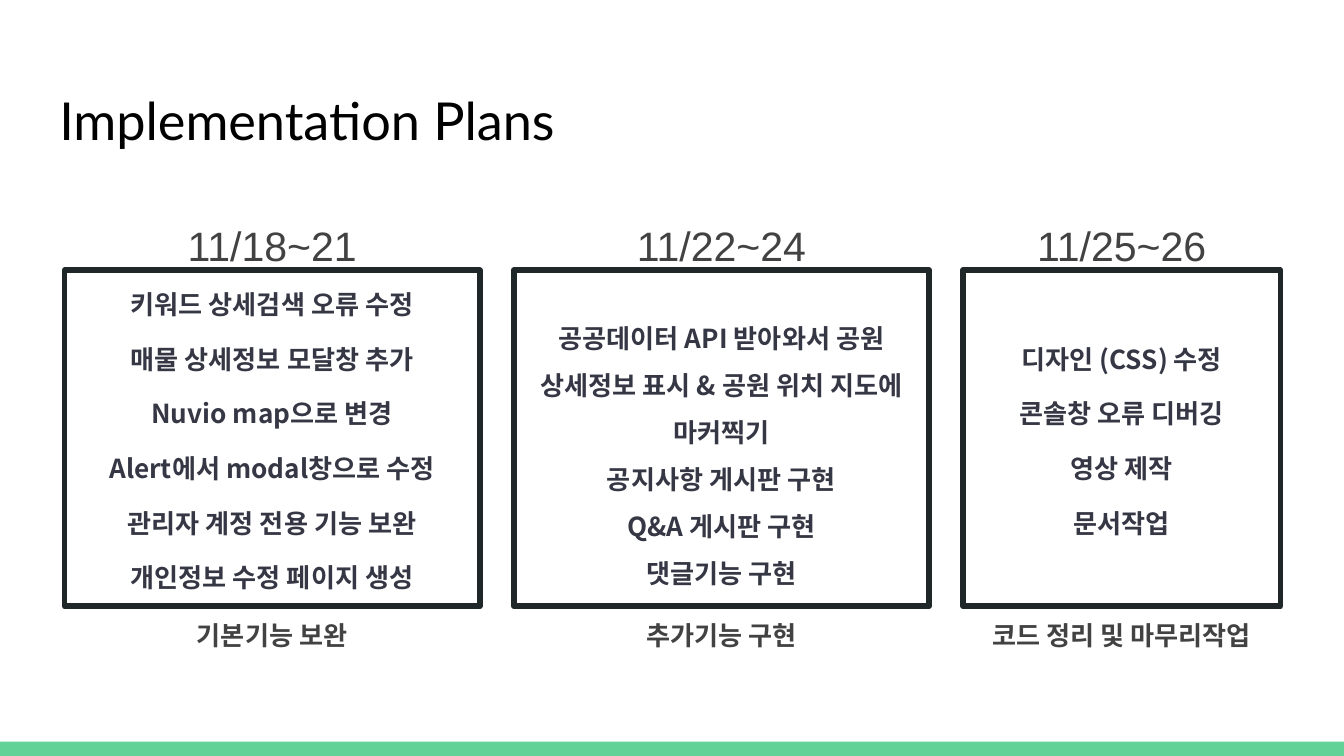
import pptx
import pptx.util
import pptx.dml.color
import pptx.enum.shapes
import pptx.enum.text
import pptx.oxml.ns
from lxml import etree
from pptx.util import Cm, Pt

RGBColor = pptx.dml.color.RGBColor
BLACK = RGBColor(0x00, 0x00, 0x00)
GREEN = RGBColor(0x63, 0xD2, 0x97)
BORDER = RGBColor(0x20, 0x27, 0x29)
TASK = RGBColor(0x35, 0x37, 0x44)
LABEL = RGBColor(0x42, 0x42, 0x42)
KOREAN_FONT = "Noto Sans CJK KR"
CENTER = pptx.enum.text.PP_ALIGN.CENTER
LEFT = pptx.enum.text.PP_ALIGN.LEFT
TOP = pptx.enum.text.MSO_ANCHOR.TOP
MIDDLE = pptx.enum.text.MSO_ANCHOR.MIDDLE
RECTANGLE = pptx.enum.shapes.MSO_SHAPE.RECTANGLE
qn = pptx.oxml.ns.qn

SLIDE_WIDTH = 25.4
LEFT_EDGE = 1.22
GAP = 0.64
BOX_TOP = 5.11
BOX_HEIGHT = 6.35
LABEL_HEIGHT = 1.19

PHASES = [
    ("11/18~21", "기본기능 보완", 7.85, 1.15, 10, 0.25, [
        "키워드 상세검색 오류 수정",
        "매물 상세정보 모달창 추가",
        "Nuvio map으로 변경",
        "Alert에서 modal창으로 수정",
        "관리자 계정 전용 기능 보완",
        "개인정보 수정 페이지 생성",
    ]),
    ("11/22~24", "추가기능 구현", 7.85, 1.5, 0, 0.6, [
        "공공데이터 API 받아와서 공원 상세정보 표시 & 공원 위치 지도에 마커찍기",
        "공지사항 게시판 구현",
        "Q&A 게시판 구현",
        "댓글기능 구현",
    ]),
    ("11/25~26", "코드 정리 및 마무리작업", 6, 1.15, 10, 0.25, [
        "디자인 (CSS) 수정",
        "콘솔창 오류 디버깅",
        "영상 제작",
        "문서작업",
    ]),
]


class SlideBuilder:
    def __init__(self, presentation):
        self.slide = presentation.slides.add_slide(presentation.slide_layouts[5])

    def fill_text(self, shape, lines, size, color, font=KOREAN_FONT, bold=False,
                  align=CENTER, anchor=TOP, spacing=1.0, before=0, inset_top=0.25):
        frame = shape.text_frame
        frame.word_wrap = True
        frame.auto_size = pptx.enum.text.MSO_AUTO_SIZE.NONE
        frame.vertical_anchor = anchor
        frame.margin_left = frame.margin_right = frame.margin_bottom = Cm(0.25)
        frame.margin_top = Cm(inset_top)
        for index, line in enumerate(lines):
            paragraph = frame.add_paragraph() if index else frame.paragraphs[0]
            paragraph.alignment = align
            paragraph.line_spacing = spacing
            paragraph.space_before = Pt(before if index else 0)
            run = paragraph.add_run()
            run.text = line
            run.font.size = Pt(size)
            run.font.bold = bold
            run.font.color.rgb = color
            run.font.name = font
            east_asian = etree.SubElement(run.font._element, qn("a:ea"))
            east_asian.set("typeface", font)

    def title(self, text):
        shape = self.slide.shapes.title
        shape.left, shape.top = Cm(0.87), Cm(1.24)
        shape.width, shape.height = Cm(23.67), Cm(1.6)
        self.fill_text(shape, [text], 28, BLACK, "Lato", align=LEFT, spacing=1.15)

    def rectangle(self, left, top, width, height):
        shape = self.slide.shapes.add_shape(
            RECTANGLE, Cm(left), Cm(top), Cm(width), Cm(height))
        shape.shadow.inherit = False
        return shape

    def bar(self, top, height):
        shape = self.rectangle(0, top, SLIDE_WIDTH, height)
        shape.fill.solid()
        shape.fill.fore_color.rgb = GREEN
        shape.line.fill.background()

    def task_box(self, left, width, tasks, spacing, before, inset_top):
        shape = self.rectangle(left, BOX_TOP, width, BOX_HEIGHT)
        shape.fill.background()
        shape.line.color.rgb = BORDER
        shape.line.width = Pt(3)
        etree.SubElement(shape.line._ln, qn("a:round"))
        self.fill_text(shape, tasks, 14, TASK, bold=True, anchor=MIDDLE,
                       spacing=spacing, before=before, inset_top=inset_top)

    def label(self, left, top, width, text, size, **style):
        shape = self.slide.shapes.add_textbox(
            Cm(left), Cm(top), Cm(width), Cm(LABEL_HEIGHT))
        self.fill_text(shape, [text], size, LABEL, **style)


def main():
    presentation = pptx.Presentation()
    presentation.slide_width = Cm(SLIDE_WIDTH)
    presentation.slide_height = Cm(14.29)
    builder = SlideBuilder(presentation)
    builder.bar(14.02, 0.27)
    builder.title("Implementation Plans")
    left = LEFT_EDGE
    for dates, goal, width, spacing, before, inset_top, tasks in PHASES:
        builder.task_box(left, width, tasks, spacing, before, inset_top)
        builder.label(left, BOX_TOP - LABEL_HEIGHT, width, dates, 22, font="Arial")
        builder.label(left, BOX_TOP + BOX_HEIGHT, width, goal, 14, bold=True)
        left += width + GAP
    presentation.save("out.pptx")


if __name__ == "__main__":
    main()
